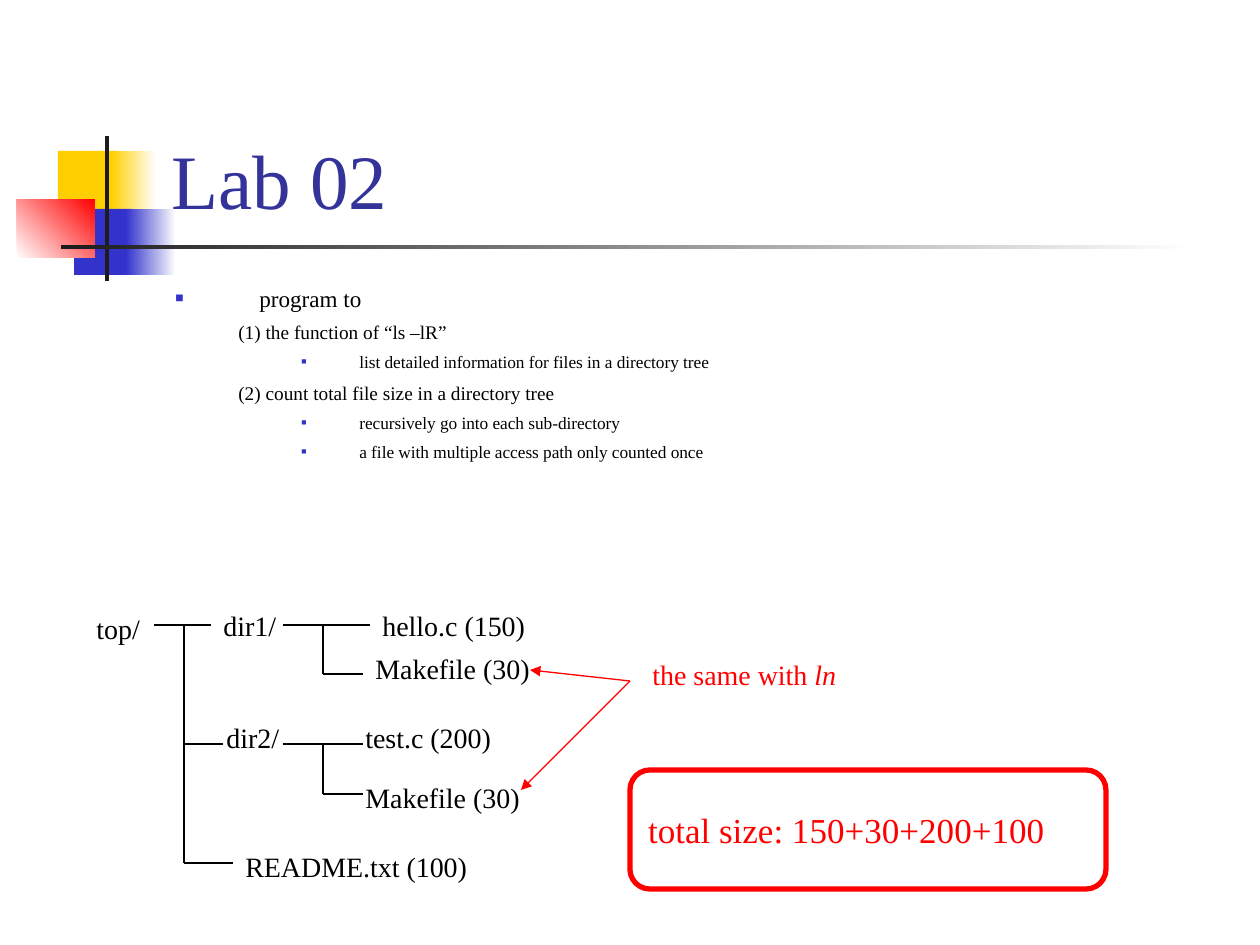
from lxml import etree
from pptx import Presentation, util as u
from pptx.dml.color import RGBColor
from pptx.enum import shapes, text
from pptx.oxml.ns import qn

FONT = "Times New Roman"
COLORS = {"yellow": "FFCF01", "blue": "3333CC", "red": "FF0000", "dark": "1C1C1C",
          "white": "FFFFFF", "title": "333399", "black": "000000"}


def px(count):
    return u.Emu(round(count * 914400 / 126))


def add_span(para, words, size, color, italic=False):
    span = para.add_run()
    span.text = words
    span.font.name = FONT
    span.font.size = u.Pt(size)
    span.font.italic = italic
    span.font.color.rgb = RGBColor.from_string(COLORS[color])


deck = Presentation()
deck.slide_width, deck.slide_height = px(1260), px(945)
page = deck.slides.add_slide(deck.slide_layouts[5])

ornaments = [
    (58, 151, 60, 66, "yellow", None, 0),
    (111, 151, 45, 66, "yellow", "white", 0),
    (74, 209, 58, 66, "blue", None, 0),
    (126, 209, 50, 66, "blue", "white", 0),
    (17, 199, 78, 59, "white", "red", 45),
    (105, 136, 4, 145, "dark", None, 0),
    (61, 245, 1134, 4, "dark", "white", 0),
]
for left, top, width, height, start, end, angle in ornaments:
    block = page.shapes.add_shape(shapes.MSO_SHAPE.RECTANGLE,
                                  px(left), px(top), px(width), px(height))
    block.shadow.inherit = False
    block.line.fill.background()
    if end:
        block.fill.gradient()
        block.fill.gradient_angle = angle
        for stop, color in zip(block.fill.gradient_stops, (start, end)):
            stop.color.rgb = RGBColor.from_string(COLORS[color])
    else:
        block.fill.solid()
        block.fill.fore_color.rgb = RGBColor.from_string(COLORS[start])

title = page.shapes.title
title.left, title.top, title.width, title.height = px(159), px(29), px(1074), px(202)
title.text_frame.vertical_anchor = text.MSO_ANCHOR.BOTTOM
title.text_frame.auto_size = text.MSO_AUTO_SIZE.NONE
para = title.text_frame.paragraphs[0]
para.alignment = text.PP_ALIGN.LEFT
add_span(para, "Lab 02", 44, "title")
page.shapes._spTree.append(title._element)

levels = [
    {"margin": 84, "indent": -84, "before": 6, "size": 13.2, "bullet": 60},
    {"margin": 136, "indent": -73, "before": 5, "size": 11, "bullet": None},
    {"margin": 184, "indent": -58, "before": 4.5, "size": 9.9, "bullet": 50},
]
outline = [
    (0, "program to"),
    (1, "(1) the function of “ls –lR”"),
    (2, "list detailed information for files in a directory tree"),
    (1, "(2) count total file size in a directory tree"),
    (2, "recursively go into each sub-directory"),
    (2, "a file with multiple access path only counted once"),
]
box = page.shapes.add_textbox(px(163), px(278), px(1071), px(194))
box.text_frame.word_wrap = True
for index, (level, words) in enumerate(outline):
    style = levels[level]
    para = box.text_frame.add_paragraph() if index else box.text_frame.paragraphs[0]
    para.level = level
    props = para._p.get_or_add_pPr()
    props.set("marL", str(px(style["margin"])))
    props.set("indent", str(px(style["indent"])))
    if style["bullet"]:
        tint = etree.SubElement(props, qn("a:buClr"))
        etree.SubElement(tint, qn("a:srgbClr"), val=COLORS["blue"])
        etree.SubElement(props, qn("a:buSzPct"), val=str(style["bullet"] * 1000))
        etree.SubElement(props, qn("a:buFont"), typeface=FONT)
        etree.SubElement(props, qn("a:buChar"), char="■")
    else:
        etree.SubElement(props, qn("a:buNone"))
    if index:
        para.space_before = u.Pt(style["before"])
    add_span(para, words, style["size"], "black")

labels = [
    ("top", 84, 605, 71, [("top/", False)], "black"),
    ("readme", 233, 843, 250, [("README.txt (100)", False)], "black"),
    ("dir1", 211, 602, 81, [("dir1/", False)], "black"),
    ("hello", 370, 602, 171, [("hello.c (150)", False)], "black"),
    ("makefile1", 363, 645, 183, [("Makefile (30)", False)], "black"),
    ("dir2", 214, 714, 81, [("dir2/", False)], "black"),
    ("test", 353, 714, 154, [("test.c (200)", False)], "black"),
    ("makefile2", 353, 774, 183, [("Makefile (30)", False)], "black"),
    ("same", 640, 651, 212, [("the same with ", False), ("ln", True)], "red"),
]
boxes = {}
for name, left, top, width, spans, color in labels:
    box = page.shapes.add_textbox(px(left), px(top), px(width), px(46))
    box.text_frame.word_wrap = False
    box.text_frame.auto_size = text.MSO_AUTO_SIZE.SHAPE_TO_FIT_TEXT
    for words, italic in spans:
        add_span(box.text_frame.paragraphs[0], words, 16, color, italic)
    boxes[name] = box

lines = [
    (154, 625, 211, 625, "black", "dir1"),
    (184, 625, 184, 863, "black", None),
    (184, 744, 223, 744, "black", None),
    (184, 863, 233, 863, "black", None),
    (283, 625, 370, 625, "black", "hello"),
    (323, 625, 323, 674, "black", None),
    (323, 674, 363, 674, "black", None),
    (283, 744, 363, 744, "black", None),
    (323, 744, 323, 794, "black", None),
    (323, 794, 363, 794, "black", None),
    (630, 681, 530, 670, "red", None),
    (630, 681, 521, 790, "red", None),
]
for x1, y1, x2, y2, color, target in lines:
    line = page.shapes.add_connector(shapes.MSO_CONNECTOR.STRAIGHT,
                                     px(x1), px(y1), px(x2), px(y2))
    line.line.width = u.Pt(0.75)
    line.line.color.rgb = RGBColor.from_string(COLORS[color])
    if color == "red":
        etree.SubElement(line.line._get_or_add_ln(), qn("a:tailEnd"), type="triangle")
    etree.SubElement(line._element.spPr, qn("a:effectLst"))
    if target:
        line.end_connect(boxes[target], 1)

total = page.shapes.add_shape(shapes.MSO_SHAPE.ROUNDED_RECTANGLE,
                              px(630), px(770), px(476), px(119))
total.shadow.inherit = False
total.fill.background()
total.line.width = u.Pt(3)
total.line.color.rgb = RGBColor.from_string(COLORS["red"])
total.text_frame.word_wrap = True
total.text_frame.vertical_anchor = text.MSO_ANCHOR.MIDDLE
para = total.text_frame.paragraphs[0]
para.alignment = text.PP_ALIGN.LEFT
add_span(para, "total size: 150+30+200+100", 20, "red")

deck.save("out.pptx")
